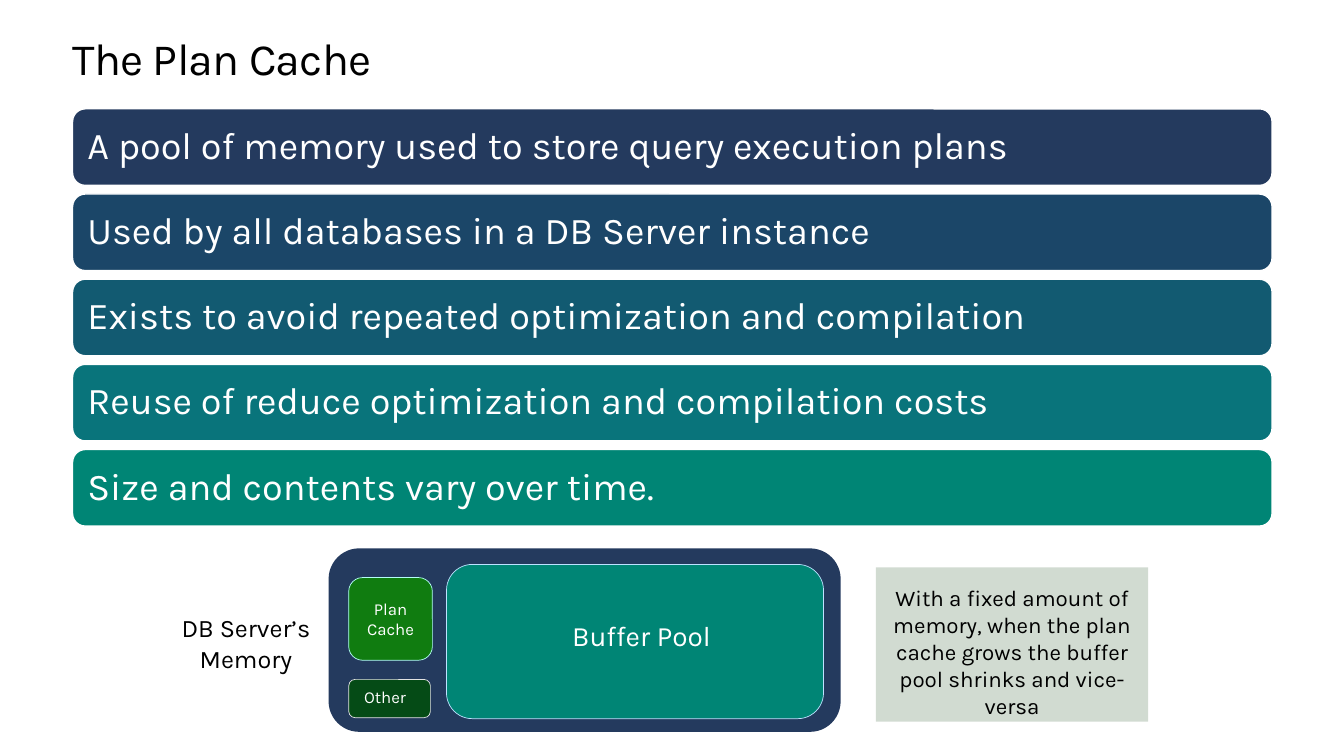
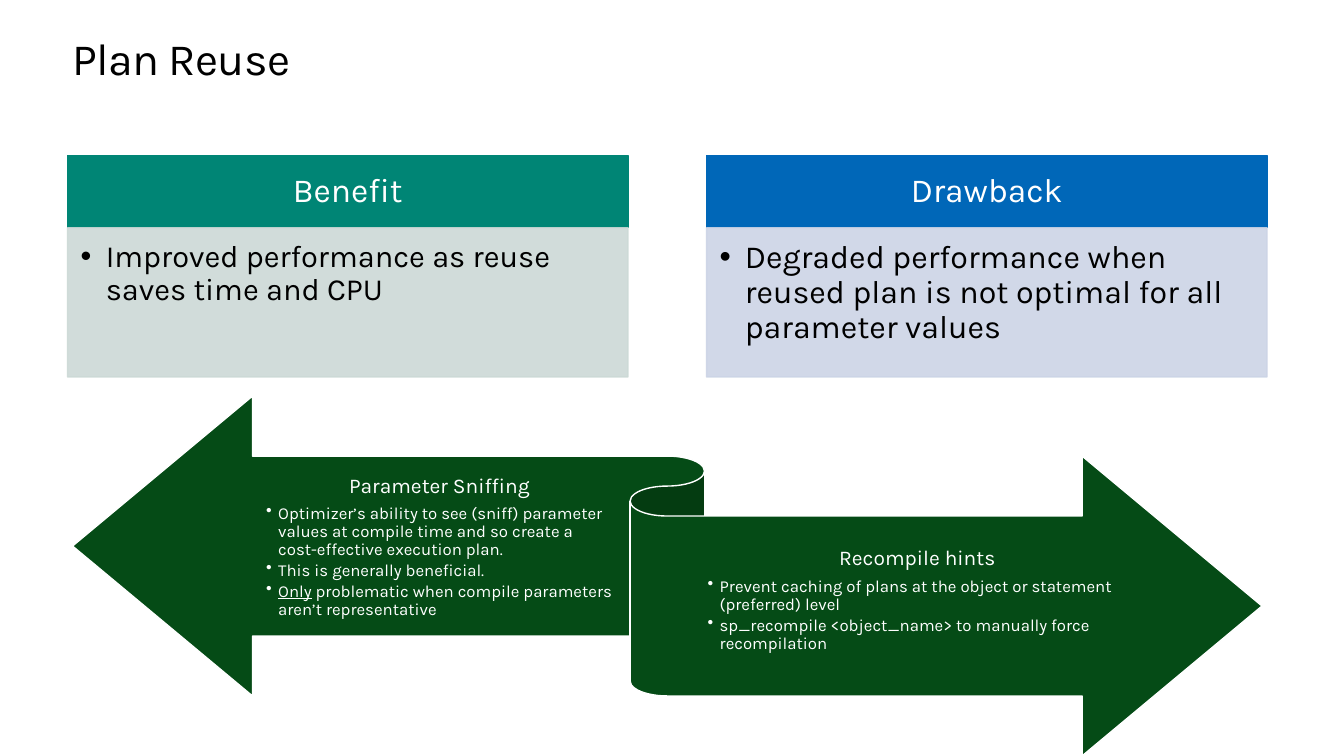
from lxml.etree import SubElement
from pptx import Presentation
from pptx.dml.color import RGBColor
from pptx.enum.shapes import MSO_SHAPE
from pptx.enum.text import MSO_ANCHOR, MSO_AUTO_SIZE, PP_ALIGN
from pptx.oxml.ns import qn
from pptx.util import Inches, Pt

COLORS = {
    "white": "FFFFFF", "black": "000000", "navy": "243A5E", "blue": "0067B8",
    "ocean": "1B4668", "petrol": "125A71", "lagoon": "09747B", "teal": "008575",
    "green": "107C10", "forest": "054B16", "sage": "D1DBD1", "mist": "CCD9D6",
    "haze": "CCD4E6", "mint": "B4FFF6", "sky": "BEE2FF", "silver": "E3E3E3",
}
FONT = "Karla"
COLUMNS, ROWS = 133.33, 75  # grid cells of a tenth of an inch
TITLE_ONLY, COMPARISON = 5, 4


def cells(*counts):
    return [Inches(count / 10) for count in counts]


def color(name):
    return RGBColor.from_string(COLORS[name])


class Deck:
    """Holds the shared style and the slide being filled; lengths are grid cells."""

    def __init__(self):
        self.presentation = Presentation()
        self.presentation.slide_width, self.presentation.slide_height = cells(COLUMNS, ROWS)
        self.slide = None

    def add_slide(self, layout, title):
        layouts = self.presentation.slide_layouts
        self.slide = self.presentation.slides.add_slide(layouts[layout])
        shape = self.slide.shapes.title
        self.place(shape, (7.2, 3.4, 119, 5))
        self.paint(shape, "white")
        self.set_text(shape, [title], 32, "black", align=PP_ALIGN.LEFT,
                      anchor=MSO_ANCHOR.TOP, spacing=Pt(36.2))
        for run in shape.text_frame.paragraphs[0].runs:
            run.font._element.set("spc", "-50")

    def place(self, shape, box):
        shape.left, shape.top, shape.width, shape.height = cells(*box)

    def paint(self, shape, fill, line=None, line_width=1, opacity=100):
        shape.fill.solid()
        shape.fill.fore_color.rgb = color(fill)
        if line:
            shape.line.color.rgb = color(line)
            shape.line.width = Pt(line_width)
        else:
            shape.line.fill.background()
        if opacity < 100:
            for element in shape._element.spPr.iter(qn("a:srgbClr")):
                SubElement(element, qn("a:alpha"), val=str(opacity * 1000))

    def set_text(self, shape, lines, size, ink="white", align=PP_ALIGN.CENTER,
                 anchor=MSO_ANCHOR.MIDDLE, insets=(0, 0, 0, 0), spacing=1.0):
        frame = shape.text_frame
        frame.text = "\n".join(lines)
        frame.word_wrap = True
        frame.auto_size = MSO_AUTO_SIZE.NONE
        frame.vertical_anchor = anchor
        (frame.margin_left, frame.margin_top,
         frame.margin_right, frame.margin_bottom) = cells(*insets)
        for paragraph in frame.paragraphs:
            paragraph.alignment = align
            paragraph.line_spacing = spacing
            paragraph.space_before = Pt(0)
            self.style_runs(paragraph, size, ink)

    def style_runs(self, paragraph, size, ink):
        for run in paragraph.runs:
            run.font.name = FONT
            run.font.size = Pt(size)
            run.font.bold = False
            run.font.color.rgb = color(ink)

    def bullet(self, paragraph, indent):
        paragraph.alignment = PP_ALIGN.LEFT
        properties = paragraph._p.get_or_add_pPr()
        left = cells(indent)[0]
        properties.set("marL", str(left))
        properties.set("indent", str(-left))
        SubElement(properties, qn("a:buChar"), char="•")

    def panel(self, box, fill, lines=(), size=12, kind=MSO_SHAPE.ROUNDED_RECTANGLE,
              line=None, line_width=0.5, **text_style):
        shape = self.slide.shapes.add_shape(kind, *cells(*box))
        shape.shadow.inherit = False
        self.paint(shape, fill, line, line_width)
        if lines:
            self.set_text(shape, lines, size, **text_style)

    def label(self, box, lines, size, **text_style):
        shape = self.slide.shapes.add_textbox(*cells(*box))
        self.set_text(shape, lines, size, **text_style)
        return shape

    def ribbon_text(self, box, heading, points, underlined=None):
        shape = self.label(box, [heading, *points], 12,
                           insets=(0, 0.6, 0, 0.6), spacing=0.9)
        first, *items = shape.text_frame.paragraphs
        self.style_runs(first, 15, "white")
        first.space_after = Pt(5.25)
        for paragraph in items:
            paragraph.space_after = Pt(1.8)
            self.bullet(paragraph, 1.2)
            if underlined and paragraph.text.startswith(underlined):
                run = paragraph.runs[0]
                rest = paragraph.add_run()
                rest.text = run.text[len(underlined):]
                run.text = underlined
                self.style_runs(paragraph, 12, "white")
                run.font.underline = True

    def comparison_side(self, index, left, heading, text, size, strong, pale):
        """Fill one heading placeholder and the list placeholder below it."""
        header, body = (self.slide.placeholders[index + step] for step in (0, 1))
        self.place(header, (left, 15.4, 55.6, 7.2))
        self.paint(header, strong, strong)
        self.set_text(header, [heading], 24, insets=(1.9, 1.1, 1.9, 1.1), spacing=0.9)
        self.place(body, (left, 22.6, 55.6, 14.8))
        self.paint(body, pale, pale, opacity=90)
        self.set_text(body, [text], size, "black", anchor=MSO_ANCHOR.TOP,
                      insets=(1.3, 1.3, 1.8, 1.9), spacing=0.9)
        self.bullet(body.text_frame.paragraphs[0], 2.5)


def plan_cache(deck):
    deck.add_slide(TITLE_ONLY, "The Plan Cache")
    bars = [
        ("navy", "A pool of memory used to store query execution plans"),
        ("ocean", "Used by all databases in a DB Server instance"),
        ("petrol", "Exists to avoid repeated optimization and compilation"),
        ("lagoon", "Reuse of reduce optimization and compilation costs"),
        ("teal", "Size and contents vary over time."),
    ]
    for row, (fill, text) in enumerate(bars):
        deck.panel((7.2, 10.8 + 8.45 * row, 119, 7.6), fill, [text], 27,
                   line="white", line_width=1, align=PP_ALIGN.LEFT,
                   insets=(1.1, 1.1, 1.1, 1.1), spacing=0.9)

    deck.label((15.7, 60.3, 17.4, 7.1), ["DB Server’s Memory"], 18, ink="black",
               anchor=MSO_ANCHOR.TOP, insets=(1, 0.5, 1, 0.5))
    deck.panel((32.6, 54.4, 50.8, 18.2), "navy")
    deck.panel((34.6, 57.3, 8.3, 8.2), "green", ["Plan", "Cache"], line="mint")
    deck.panel((34.6, 67.4, 8.1, 3.8), "forest", ["Other"], line="silver",
               insets=(0, 0, 0.9, 0.3))
    deck.panel((44.3, 56, 37.4, 15.3), "teal", ["Buffer Pool"], 20, line="sky",
               insets=(1.3, 0, 0, 1.2))
    deck.panel((86.9, 56.3, 27, 15.3), "sage",
               ["With a fixed amount of memory, when the plan cache grows "
                "the buffer pool shrinks and vice-versa"], 16,
               kind=MSO_SHAPE.RECTANGLE, ink="black", anchor=MSO_ANCHOR.TOP,
               insets=(1.7, 1.7, 1.7, 1.7))


def plan_reuse(deck):
    deck.add_slide(COMPARISON, "Plan Reuse")
    deck.comparison_side(1, 6.7, "Benefit",
                         "Improved performance as reuse saves time and CPU",
                         22, "teal", "mist")
    deck.comparison_side(3, 70.1, "Drawback",
                         "Degraded performance when reused plan is not optimal "
                         "for all parameter values", 23, "blue", "haze")
    deck.panel((7.2, 39.3, 118, 35.7), "forest", kind=MSO_SHAPE.LEFT_RIGHT_RIBBON,
               line="white", line_width=1)
    deck.ribbon_text((26.4, 45.5, 34.4, 17.5), "Parameter Sniffing", [
        "Optimizer’s ability to see (sniff) parameter values at compile time "
        "and so create a cost-effective execution plan.",
        "This is generally beneficial.",
        "Only problematic when compile parameters aren’t representative",
    ], underlined="Only")
    deck.ribbon_text((70.2, 50.8, 41.6, 17.5), "Recompile hints", [
        "Prevent caching of plans at the object or statement (preferred) level",
        "sp_recompile <object_name> to manually force recompilation",
    ])


def main():
    deck = Deck()
    plan_cache(deck)
    plan_reuse(deck)
    deck.presentation.save("out.pptx")


if __name__ == "__main__":
    main()
